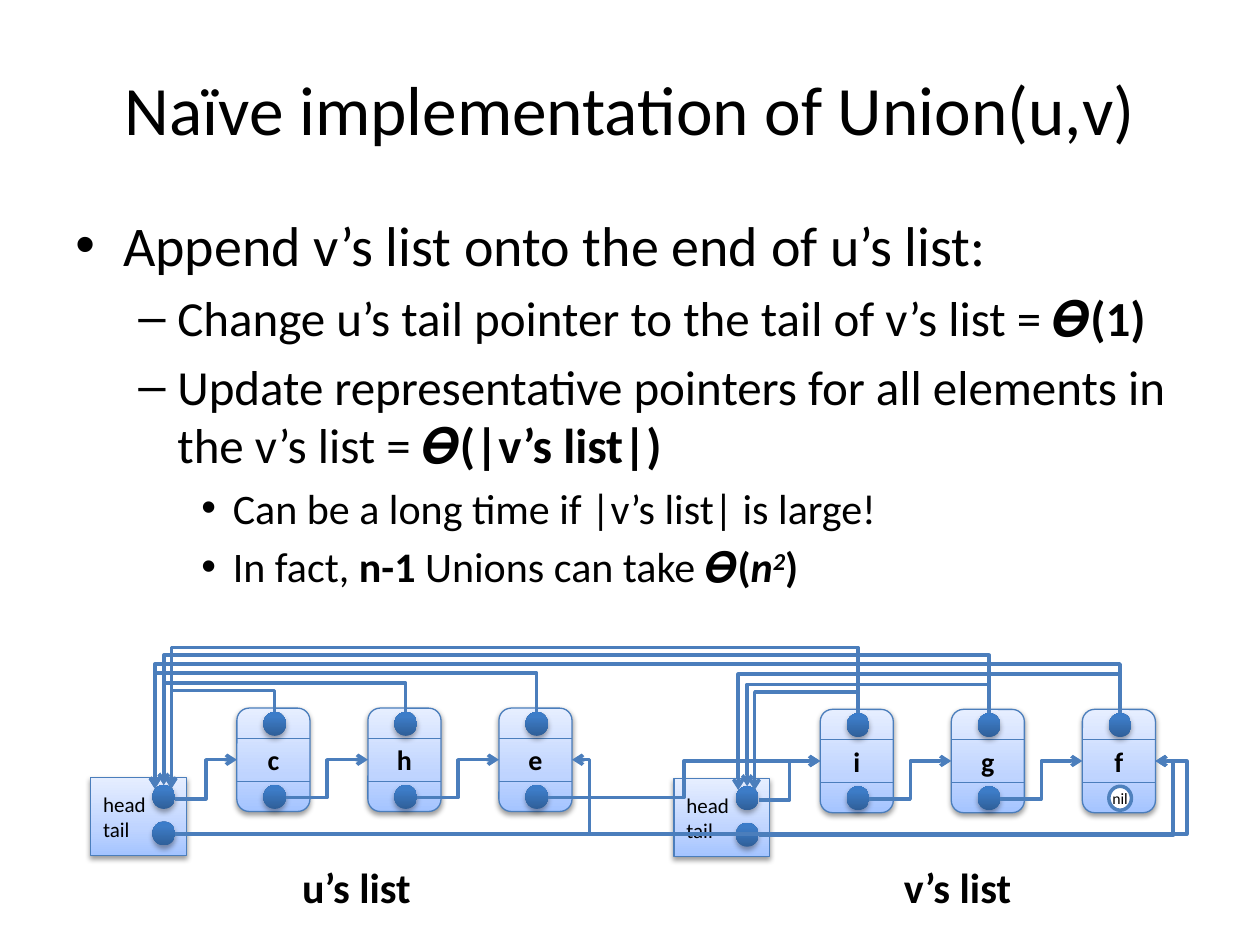
from pptx import Presentation
from pptx.dml.color import RGBColor
from pptx.enum.shapes import MSO_CONNECTOR as Link, MSO_SHAPE as Preset
from pptx.enum.text import MSO_ANCHOR as Anchor, PP_ALIGN as Align
from pptx.oxml.ns import qn
from pptx.util import Inches, Pt
from lxml.etree import SubElement

LINE = "4B7EBC"
PALE = [(0, "A4C4FF"), (35, "BFD4FF"), (100, "E6EEFF")]
DEEP = [(0, "2F5F99"), (80, "3D7CC7"), (100, "3A7CCB")]
CELL_WIDTH, CELL_HEIGHT, CELL_STEP = 0.58, 0.82, 1.04
DOT_WIDTH, DOT_HEIGHT = 0.18, 0.19
LANDINGS = [(0.64, 0.64), (0.58, 0.61), (0.51, 0.64)]
THETA = "\U0001D72D"


def color(value):
    return RGBColor.from_string(value)


def add_run(paragraph, text, size=12, bold=False, italic=False, baseline=0):
    run = paragraph.add_run()
    run.text = text
    font = run.font
    font.name, font.size, font.bold, font.italic = "Calibri", Pt(size), bold, italic
    font.color.rgb = color("000000")
    if baseline:
        run._r.get_or_add_rPr().set("baseline", str(baseline * 1000))


def write(frame, text, align=Align.CENTER, anchor=Anchor.TOP, **style):
    frame.word_wrap = True
    frame.vertical_anchor = anchor
    for number, line in enumerate(text.split("\n")):
        paragraph = frame.add_paragraph() if number else frame.paragraphs[0]
        paragraph.alignment = align
        add_run(paragraph, line, **style)


def add_text(slide, box, text, **style):
    shape = slide.shapes.add_textbox(*map(Inches, box))
    write(shape.text_frame, text, **style)


def add_glossy(shapes, preset, box, stops, line=None, opacity=38, distance=1.6):
    shape = shapes.add_shape(preset, *map(Inches, box))
    shape.fill.gradient()
    shape.fill.gradient_angle = 90
    properties = shape._element.spPr
    stop_list = properties.find(qn("a:gradFill")).find(qn("a:gsLst"))
    stop_list.clear()
    for position, value in stops:
        stop = SubElement(stop_list, qn("a:gs"), pos=str(position * 1000))
        SubElement(stop, qn("a:srgbClr"), val=value)
    if line:
        shape.line.color.rgb = color(line)
        shape.line.width = Pt(0.75)
    else:
        shape.line.fill.background()
    shape.shadow.inherit = False
    shadow = SubElement(properties.find(qn("a:effectLst")), qn("a:outerShdw"),
                        blurRad=str(Pt(3.1)), dist=str(Pt(distance)),
                        dir="5400000", rotWithShape="0")
    tint = SubElement(shadow, qn("a:srgbClr"), val="000000")
    SubElement(tint, qn("a:alpha"), val=str(opacity * 1000))
    return shape


def add_line(shapes, start, end, kind=Link.STRAIGHT, width=0.75):
    connector = shapes.add_connector(kind, *map(Inches, start + end))
    connector.line.color.rgb = color(LINE)
    connector.line.width = Pt(width)
    SubElement(connector._element.spPr, qn("a:effectLst"))
    return connector


def add_arrow(slide, start, end, bend=0.5, rotation=0):
    arrow = add_line(slide.shapes, start, end, Link.ELBOW, 2)
    properties = arrow._element.spPr
    SubElement(properties.find(qn("a:ln")), qn("a:tailEnd"), type="arrow")
    guides = properties.find(qn("a:prstGeom")).get_or_add_avLst()
    SubElement(guides, qn("a:gd"), name="adj1", fmla=f"val {round(bend * 100000)}")
    if rotation:
        properties.find(qn("a:xfrm")).set("rot", str(rotation * 60000))


def add_side_arrow(slide, start, end, turn=None):
    bend = 0.5 if turn is None else (turn - start[0]) / (end[0] - start[0])
    add_arrow(slide, start, end, bend)


def add_over_arrow(slide, start, end, turn):
    middle_x, middle_y = (start[0] + end[0]) / 2, (start[1] + end[1]) / 2
    half_width, half_height = (end[1] - start[1]) / 2, (start[0] - end[0]) / 2
    add_arrow(slide, (middle_x + half_width, middle_y + half_height),
              (middle_x - half_width, middle_y - half_height),
              (turn - start[1]) / (end[1] - start[1]), 270)


def add_dot(slide, left, top):
    add_glossy(slide.shapes, Preset.OVAL, (left, top, DOT_WIDTH, DOT_HEIGHT),
               DEEP, opacity=35, distance=1.8)


def add_nil(slide, left, top):
    ring = slide.shapes.add_shape(Preset.OVAL, *map(Inches, (left, top, DOT_WIDTH, DOT_HEIGHT)))
    ring.shadow.inherit = False
    ring.fill.solid()
    ring.fill.fore_color.rgb = color("FFFFFF")
    ring.line.color.rgb = color("4F81BD")
    ring.line.width = Pt(2)
    add_text(slide, (left - 0.2, top - 0.03, CELL_WIDTH, 0.25), "nil", size=9)


def add_cell(slide, left, top, letter):
    shapes = slide.shapes.add_group_shape().shapes
    cell = add_glossy(shapes, Preset.ROUNDED_RECTANGLE,
                      (left, top, CELL_WIDTH, CELL_HEIGHT), PALE, LINE)
    write(cell.text_frame, letter, anchor=Anchor.MIDDLE, size=16, bold=True)
    for offset in (0.24, 0.58):
        add_line(shapes, (left, top + offset), (left + CELL_WIDTH, top + offset))


def cell_lefts(left):
    return [left + 1.16 + CELL_STEP * number for number in range(3)]


def add_pointers_back(slide, cells_left, head_left, top, head_top, turns):
    for cell, (x, y), turn in zip(cell_lefts(cells_left), LANDINGS, turns):
        add_over_arrow(slide, (cell + 0.3, top + 0.03),
                       (head_left + x, head_top + y), top + turn)


def add_linked_list(slide, left, top, letters, ends_in_nil):
    cells = cell_lefts(left)
    for cell, letter in zip(cells, letters):
        add_cell(slide, cell, top, letter)
    head = add_glossy(slide.shapes, Preset.RECTANGLE, (left, top + 0.55, 0.76, 0.62), PALE, LINE)
    write(head.text_frame, "head\ntail", align=Align.LEFT, anchor=Anchor.MIDDLE, size=12)
    for offset in (0.61, 0.9):
        add_dot(slide, left + 0.49, top + offset)
    for number, cell in enumerate(cells):
        add_dot(slide, cell + 0.21, top + 0.03)
        last = number == len(cells) - 1
        (add_nil if last and ends_in_nil else add_dot)(slide, cell + 0.21, top + 0.61)
    end = cells[-1] + CELL_WIDTH
    add_side_arrow(slide, (left + 0.67, top + 1), (end, top + 0.41), end + 0.14)
    add_pointers_back(slide, left, left, top, top, (-0.14, -0.2, -0.28))
    sources = [(left + 0.67, top + 0.72)] + [(cell + 0.39, top + 0.71) for cell in cells[:-1]]
    for source, cell in zip(sources, cells):
        add_side_arrow(slide, source, (cell, top + 0.41))


def add_union(slide, u_left, u_top, v_left, v_top):
    add_pointers_back(slide, v_left, u_left, v_top, u_top, (-0.49, -0.43, -0.36))
    v_cells = cell_lefts(v_left)
    end = v_cells[-1] + CELL_WIDTH
    add_side_arrow(slide, (u_left + 0.67, u_top + 1), (end, v_top + 0.41), end + 0.25)
    add_side_arrow(slide, (cell_lefts(u_left)[-1] + 0.39, u_top + 0.71),
                   (v_cells[0], v_top + 0.41))


def add_title(slide, box, text):
    title = slide.shapes.title
    title.left, title.top, title.width, title.height = map(Inches, box)
    write(title.text_frame, text, anchor=Anchor.MIDDLE, size=39.6)


def add_bullets(slide, box, items):
    levels = [(32, 0.38, 0.38, "•"), (28, 0.81, 0.31, "–"), (24, 1.25, 0.25, "•")]
    frame = slide.shapes.add_textbox(*map(Inches, box)).text_frame
    frame.word_wrap = True
    for number, (level, runs) in enumerate(items):
        size, margin, hang, mark = levels[level]
        paragraph = frame.add_paragraph() if number else frame.paragraphs[0]
        paragraph.level = level
        paragraph.space_before = Pt(size * 0.2)
        properties = paragraph._p.get_or_add_pPr()
        properties.set("marL", str(Inches(margin)))
        properties.set("indent", str(-Inches(hang)))
        SubElement(properties, qn("a:buFont"), typeface="Arial")
        SubElement(properties, qn("a:buChar"), char=mark)
        for text, style in runs:
            add_run(paragraph, text, size=size, **style)


plain, bold, slanted = {}, {"bold": True}, {"bold": True, "italic": True}
presentation = Presentation()
presentation.slide_width, presentation.slide_height = Inches(10), Inches(7.5)
slide = presentation.slides.add_slide(presentation.slide_layouts[5])
add_title(slide, (0.5, 0.23, 9, 1.25), "Naïve implementation of Union(u,v)")
add_bullets(slide, (0.5, 1.62, 9, 5.08), [
    (0, [("Append v’s list onto the end of u’s list:", plain)]),
    (1, [("Change u’s tail pointer to the tail of v’s list = " + THETA, plain), ("(1)", bold)]),
    (1, [("Update representative pointers for all elements in the v’s list = " + THETA, plain),
         ("(|v’s list|)", bold)]),
    (2, [("Can be a long time if |v’s list| is large!", plain)]),
    (2, [("In fact, ", plain), ("n-1", bold), (" Unions can take " + THETA, plain), ("(", bold),
         ("n", slanted), ("2", {**slanted, "baseline": 30}), (")", bold)]),
])
add_linked_list(slide, 0.72, 5.62, "che", False)
add_linked_list(slide, 5.35, 5.63, "igf", True)
for label_left, label in ((1.93, "u’s list"), (6.7, "v’s list")):
    add_text(slide, (label_left, 6.79, 1.8, 0.5), label, size=24, bold=True)
add_union(slide, 0.72, 5.62, 5.35, 5.63)
presentation.save("out.pptx")
